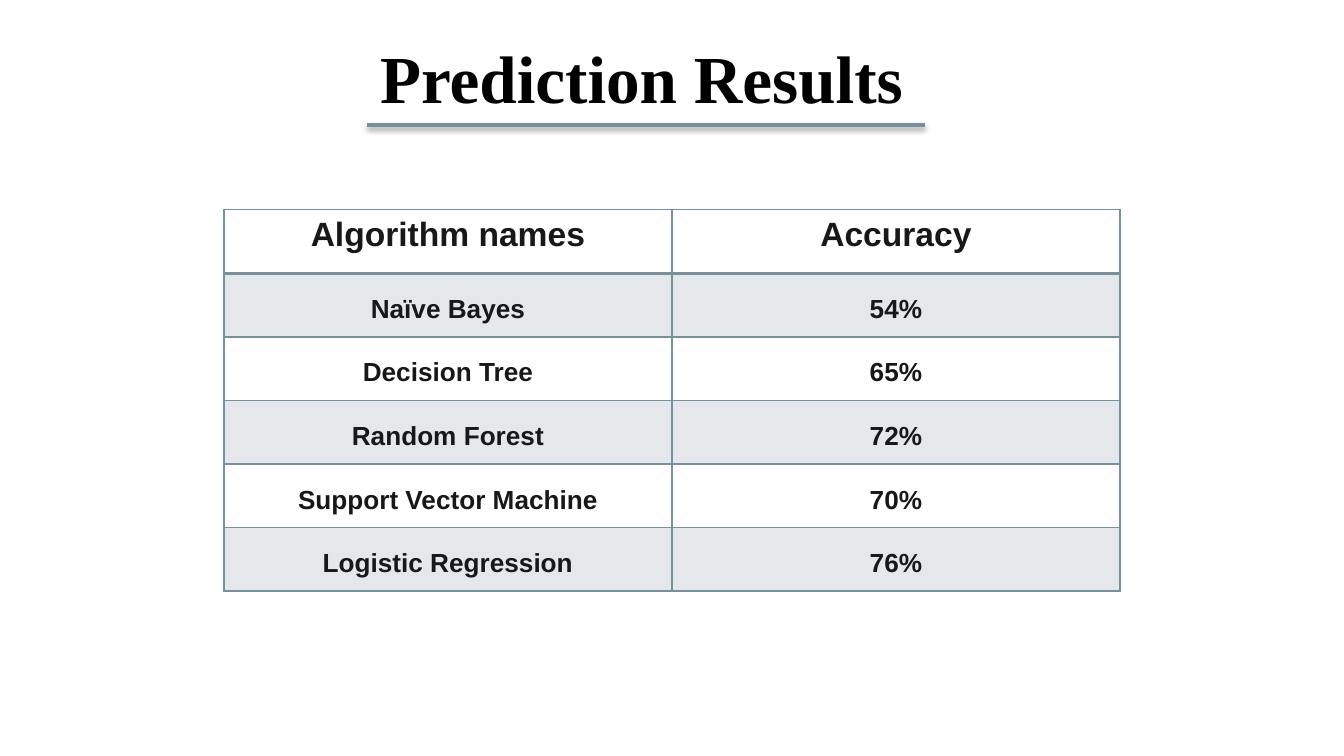
"""Build the prediction results slide with its accuracy table."""
from lxml import etree
from pptx import Presentation
from pptx.dml.color import RGBColor
from pptx.enum.shapes import MSO_CONNECTOR
from pptx.enum.text import MSO_AUTO_SIZE, PP_ALIGN
from pptx.oxml import parse_xml
from pptx.oxml.ns import nsdecls, qn
from pptx.util import Inches, Pt

STRAIGHT = MSO_CONNECTOR.STRAIGHT
CENTER = PP_ALIGN.CENTER
FIT_SHAPE = MSO_AUTO_SIZE.SHAPE_TO_FIT_TEXT
SLATE = "78909C"
INK = "181818"
ROWS = [
    ("Algorithm names", "Accuracy"),
    ("Naïve Bayes", "54%"),
    ("Decision Tree", "65%"),
    ("Random Forest", "72%"),
    ("Support Vector Machine", "70%"),
    ("Logistic Regression", "76%"),
]


def color(value):
    return RGBColor.from_string(value)


def add_run(para, text, font, size, value):
    span = para.add_run()
    span.text = text
    span.font.name = font
    span.font.size = Pt(size)
    span.font.bold = True
    span.font.color.rgb = color(value)


deck = Presentation()
deck.slide_width = Inches(10)
deck.slide_height = deck.slide_width * 9 // 16
page = deck.slides.add_slide(deck.slide_layouts[6])

title_box = page.shapes.add_textbox(Inches(2.73), Inches(0.22), Inches(4.14), Inches(0.71))
title_box.text_frame.word_wrap = False
title_box.text_frame.auto_size = FIT_SHAPE
add_run(title_box.text_frame.paragraphs[0], "Prediction Results", "Times New Roman", 36, "000000")

table_width = deck.slide_width * 2 // 3
table_left = (deck.slide_width - table_width) // 2
frame = page.shapes.add_table(
    len(ROWS), 2, table_left, Inches(1.56), table_width, Inches(2.84)
)
table = frame.table
table.horz_banding = False
for row_index, texts in enumerate(ROWS):
    for column_index, text in enumerate(texts):
        cell = table.cell(row_index, column_index)
        para = cell.text_frame.paragraphs[0]
        para.alignment = CENTER
        if row_index:
            para.line_spacing = 1.5
        add_run(para, text, "Arial", 14 if row_index else 18, INK)
        if row_index % 2:
            cell.fill.solid()
            cell.fill.fore_color.rgb = color(SLATE)
        else:
            cell.fill.background()
        properties = cell._tc.get_or_add_tcPr()
        for tint in properties.iter(qn("a:srgbClr")):
            etree.SubElement(tint, qn("a:alpha"), val="20000")
        for position, side in enumerate("LRTB"):
            heavy = (row_index, side) in [(0, "B"), (1, "T")]
            border = parse_xml(
                f'<a:ln{side} {nsdecls("a")} w="{Pt(2 if heavy else 1)}">'
                f'<a:solidFill><a:srgbClr val="{SLATE}"/></a:solidFill></a:ln{side}>'
            )
            properties.insert(position, border)

underline = page.shapes.add_connector(
    STRAIGHT, Inches(6.88), Inches(0.93), Inches(2.73), Inches(0.93)
)
underline.line.color.rgb = color(SLATE)
underline.line.width = Pt(2)
underline._element.spPr.append(parse_xml(
    f'<a:effectLst {nsdecls("a")}>'
    f'<a:outerShdw blurRad="{Pt(3.1)}" dist="{Pt(1.6)}" dir="5400000" rotWithShape="0">'
    '<a:srgbClr val="000000"><a:alpha val="38000"/></a:srgbClr>'
    '</a:outerShdw></a:effectLst>'
))

deck.save("out.pptx")
